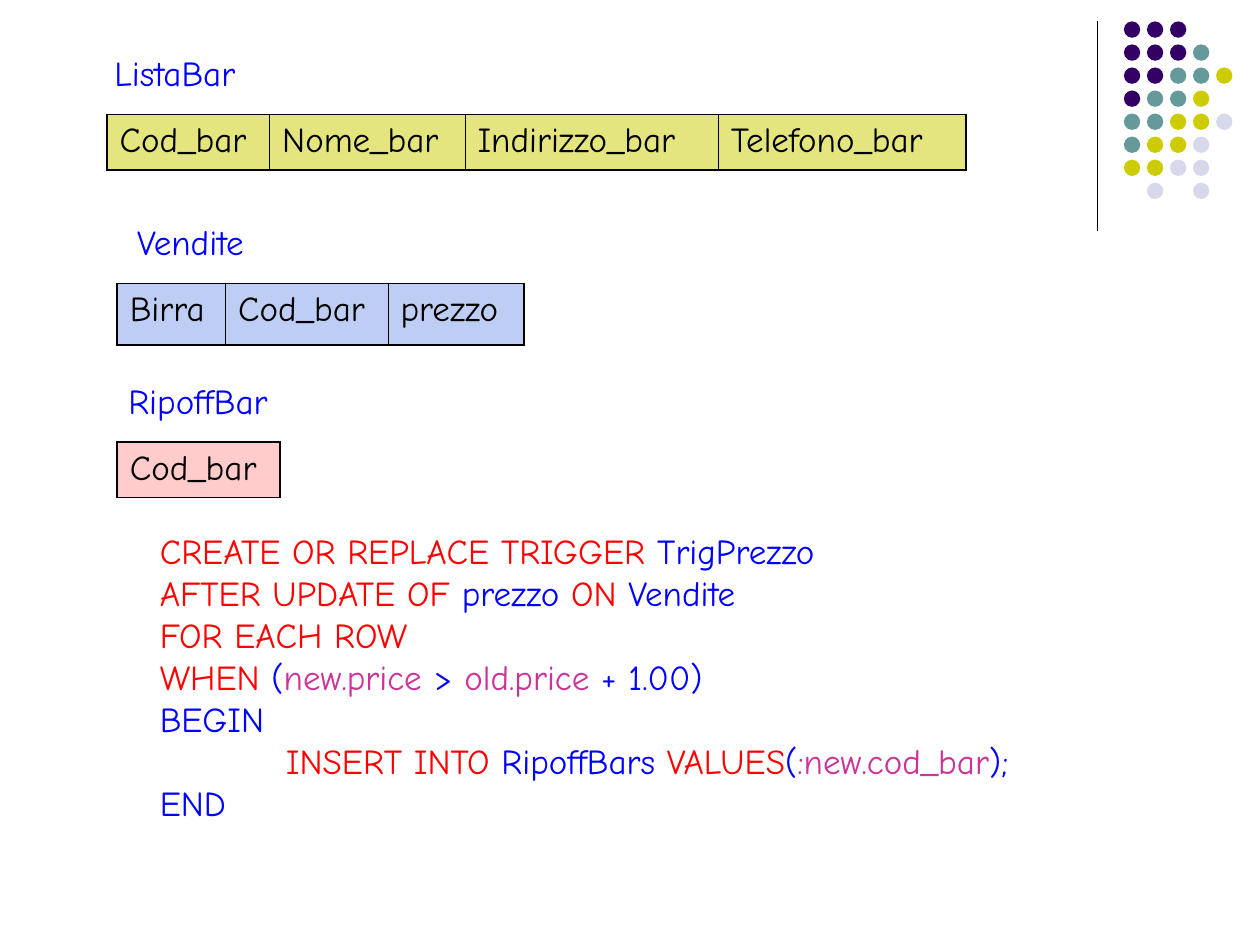
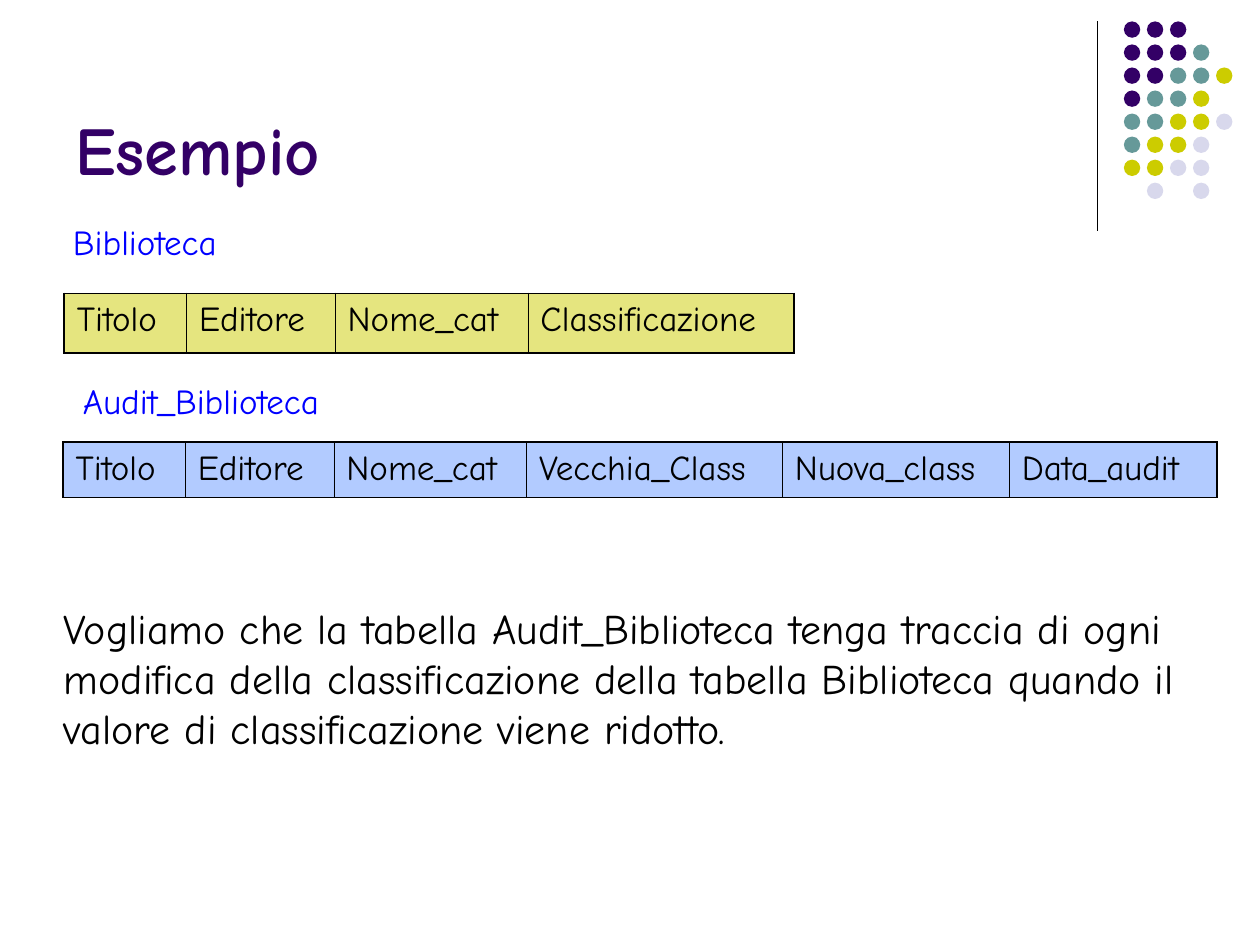
from dataclasses import dataclass
from typing import Any

from lxml import etree
from pptx import Presentation
from pptx.dml.color import RGBColor
from pptx.enum.shapes import MSO_CONNECTOR, MSO_SHAPE
from pptx.enum.text import MSO_ANCHOR, MSO_AUTO_SIZE
from pptx.oxml.ns import qn
from pptx.slide import Slide
from pptx.util import Inches, Pt

STRAIGHT = MSO_CONNECTOR.STRAIGHT
OVAL = MSO_SHAPE.OVAL
TOP = MSO_ANCHOR.TOP
BOTTOM = MSO_ANCHOR.BOTTOM
FIXED = MSO_AUTO_SIZE.NONE
GROW = MSO_AUTO_SIZE.SHAPE_TO_FIT_TEXT

FONT = "Comic Neue"
COLORS = {
    "black": "000000",
    "purple": "330066",
    "teal": "669999",
    "lime": "CCCC00",
    "lavender": "D8D8EC",
    "periwinkle": "7E9CE8",
    "sky": "6699FF",
    "pink": "FF9999",
    "blue": "0000FF",
    "red": "FF0000",
    "magenta": "CC3399",
}

DOT_COLORS = {"P": "purple", "T": "teal", "L": "lime", "V": "lavender"}
DOT_ROWS = ["PPP", "PPPT", "PPTTL", "PTTL", "TTLLV", "TLLV", "LLVV", " V V"]
DOT_LEFT, DOT_TOP, DOT_SIZE = 8.92, 0.17, 0.13
DOT_PITCH = 1.28 / 7

OUTER_BORDER, INNER_BORDER = Pt(1.08), Pt(0.45)
FILL_OPACITY = 50000
LABEL_HEIGHT = 0.44


@dataclass
class Run:
    text: str
    color: str = "blue"


@dataclass
class Line:
    runs: list[Run]
    indent: float = 0


@dataclass
class TextBox:
    left: float
    top: float
    width: float
    height: float
    lines: list[Line]
    size: float = 20
    bold: bool = False
    wrap: bool = False
    anchor: MSO_ANCHOR = TOP


@dataclass
class Relation:
    """A database relation: its name above a one-row table of attributes."""
    name: str
    label_left: float
    label_top: float
    label_width: float
    left: float
    top: float
    height: float
    color: str
    columns: dict[str, float]


BAR_RELATIONS = [
    Relation("ListaBar", 0.81, 0.36, 1.17, 0.85, 0.91, 0.44, "lime",
             {"Cod_bar": 1.29, "Nome_bar": 1.55, "Indirizzo_bar": 2.01, "Telefono_bar": 1.97}),
    Relation("Vendite", 0.99, 1.7, 1.07, 0.93, 2.25, 0.49, "periwinkle",
             {"Birra": 0.86, "Cod_bar": 1.29, "prezzo": 1.08}),
    Relation("RipoffBar", 0.92, 2.96, 1.32, 0.93, 3.51, 0.44, "pink", {"Cod_bar": 1.29}),
]

LIBRARY_COLUMNS = {"Titolo": 0.97, "Editore": 1.18, "Nome_cat": 1.53}
LIBRARY_RELATIONS = [
    Relation("Biblioteca", 0.48, 1.7, 1.35, 0.51, 2.33, 0.47, "lime",
             LIBRARY_COLUMNS | {"Classificazione": 2.11}),
    Relation("Audit_Biblioteca", 0.56, 2.96, 2.08, 0.5, 3.51, 0.44, "sky",
             LIBRARY_COLUMNS | {"Vecchia_Class": 2.03, "Nuova_class": 1.8, "Data_audit": 1.65}),
]

TRIGGER = TextBox(1.17, 4.15, 6.97, 2.44, [
    Line([Run("CREATE OR REPLACE TRIGGER", "red"), Run(" TrigPrezzo")]),
    Line([Run("AFTER UPDATE OF", "red"), Run(" prezzo "), Run("ON", "red"), Run(" Vendite")]),
    Line([Run("FOR EACH ROW", "red")]),
    Line([Run("WHEN ", "red"), Run("("), Run("new.price", "magenta"), Run(" > "),
          Run("old.price", "magenta"), Run(" + 1.00)")]),
    Line([Run("BEGIN")]),
    Line([Run("INSERT INTO ", "red"), Run("RipoffBars"), Run(" VALUES", "red"), Run("("),
          Run(":new.cod_bar", "magenta"), Run(");")], indent=1),
    Line([Run("END")]),
])

TITLE = TextBox(0.5, 0.13, 8.25, 1.42, [Line([Run("Esempio", "purple")])],
                size=39, bold=True, wrap=True, anchor=BOTTOM)

REQUEST = TextBox(0.41, 4.73, 9.24, 1.3, [Line([Run(
    "Vogliamo che la tabella Audit_Biblioteca tenga traccia di ogni modifica della "
    "classificazione della tabella Biblioteca quando il valore di classificazione "
    "viene ridotto.", "black")])], size=24, wrap=True)


def rgb(color: str) -> RGBColor:
    return RGBColor.from_string(COLORS[color])


def apply_format(target: Any, values: dict[str, Any]) -> None:
    for name, value in values.items():
        setattr(target, name, value)


def add_run(paragraph: Any, content: Run, size: float, bold: bool = False) -> None:
    run = paragraph.add_run()
    run.text = content.text
    apply_format(run.font, {"name": FONT, "size": Pt(size), "bold": bold})
    run.font.color.rgb = rgb(content.color)


def add_text(slide: Slide, box: TextBox) -> None:
    """Add a text box; one that does not wrap grows with its text."""
    shape = slide.shapes.add_textbox(
        Inches(box.left), Inches(box.top), Inches(box.width), Inches(box.height))
    frame = shape.text_frame
    apply_format(frame, {
        "word_wrap": box.wrap,
        "auto_size": FIXED if box.wrap else GROW,
        "vertical_anchor": box.anchor,
    })
    for index, line in enumerate(box.lines):
        paragraph = frame.add_paragraph() if index else frame.paragraphs[0]
        if line.indent:
            paragraph._p.get_or_add_pPr().set("marL", str(Inches(line.indent)))
        for run in line.runs:
            add_run(paragraph, run, box.size, box.bold)


def set_fill(cell: Any, color: str) -> None:
    """Give the cell a half transparent fill."""
    cell.fill.solid()
    cell.fill.fore_color.rgb = rgb(color)
    color_element = cell._tc.tcPr.find(".//" + qn("a:srgbClr"))
    etree.SubElement(color_element, qn("a:alpha"), val=str(FILL_OPACITY))


def set_borders(cell: Any, widths: dict[str, int]) -> None:
    """Put the border lines, in schema order, before the fill of the cell."""
    properties = cell._tc.get_or_add_tcPr()
    for index, (side, width) in enumerate(widths.items()):
        line = etree.Element(qn(f"a:ln{side}"), w=str(width))
        fill = etree.SubElement(line, qn("a:solidFill"))
        etree.SubElement(fill, qn("a:srgbClr"), val=COLORS["black"])
        properties.insert(index, line)


def add_relation(slide: Slide, relation: Relation) -> None:
    add_text(slide, TextBox(relation.label_left, relation.label_top, relation.label_width,
                            LABEL_HEIGHT, [Line([Run(relation.name)])]))
    columns = relation.columns
    table = slide.shapes.add_table(
        1, len(columns), Inches(relation.left), Inches(relation.top),
        Inches(sum(columns.values())), Inches(relation.height)).table
    apply_format(table, {"first_row": False, "horz_banding": False})
    last = len(columns) - 1
    for index, (attribute, width) in enumerate(columns.items()):
        table.columns[index].width = Inches(width)
        cell = table.cell(0, index)
        add_run(cell.text_frame.paragraphs[0], Run(attribute, "black"), 20)
        set_fill(cell, relation.color)
        set_borders(cell, {
            "L": INNER_BORDER if index else OUTER_BORDER,
            "R": INNER_BORDER if index < last else OUTER_BORDER,
            "T": OUTER_BORDER,
            "B": OUTER_BORDER,
        })


def add_corner_decoration(slide: Slide) -> None:
    rule = slide.shapes.add_connector(
        STRAIGHT, Inches(8.71), Inches(0.17), Inches(8.71), Inches(1.83))
    apply_format(rule.line, {"width": Pt(0.75)})
    rule.line.color.rgb = rgb("black")
    etree.SubElement(rule._element.spPr, qn("a:effectLst"))

    dots = slide.shapes.add_group_shape()
    for row, codes in enumerate(DOT_ROWS):
        for column, code in enumerate(codes):
            if code not in DOT_COLORS:
                continue
            dot = dots.shapes.add_shape(
                OVAL, Inches(DOT_LEFT + column * DOT_PITCH), Inches(DOT_TOP + row * DOT_PITCH),
                Inches(DOT_SIZE), Inches(DOT_SIZE))
            dot.shadow.inherit = False
            dot.fill.solid()
            dot.fill.fore_color.rgb = rgb(DOT_COLORS[code])
            dot.line.fill.background()


def add_slide(presentation: Any, relations: list[Relation], texts: list[TextBox]) -> None:
    slide = presentation.slides.add_slide(presentation.slide_layouts[6])
    add_corner_decoration(slide)
    for text in texts:
        add_text(slide, text)
    for relation in relations:
        add_relation(slide, relation)


def main() -> None:
    presentation = Presentation()
    apply_format(presentation, {"slide_width": Inches(10), "slide_height": Inches(7.5)})
    add_slide(presentation, BAR_RELATIONS, [TRIGGER])
    add_slide(presentation, LIBRARY_RELATIONS, [TITLE, REQUEST])
    presentation.save("out.pptx")


if __name__ == "__main__":
    main()
